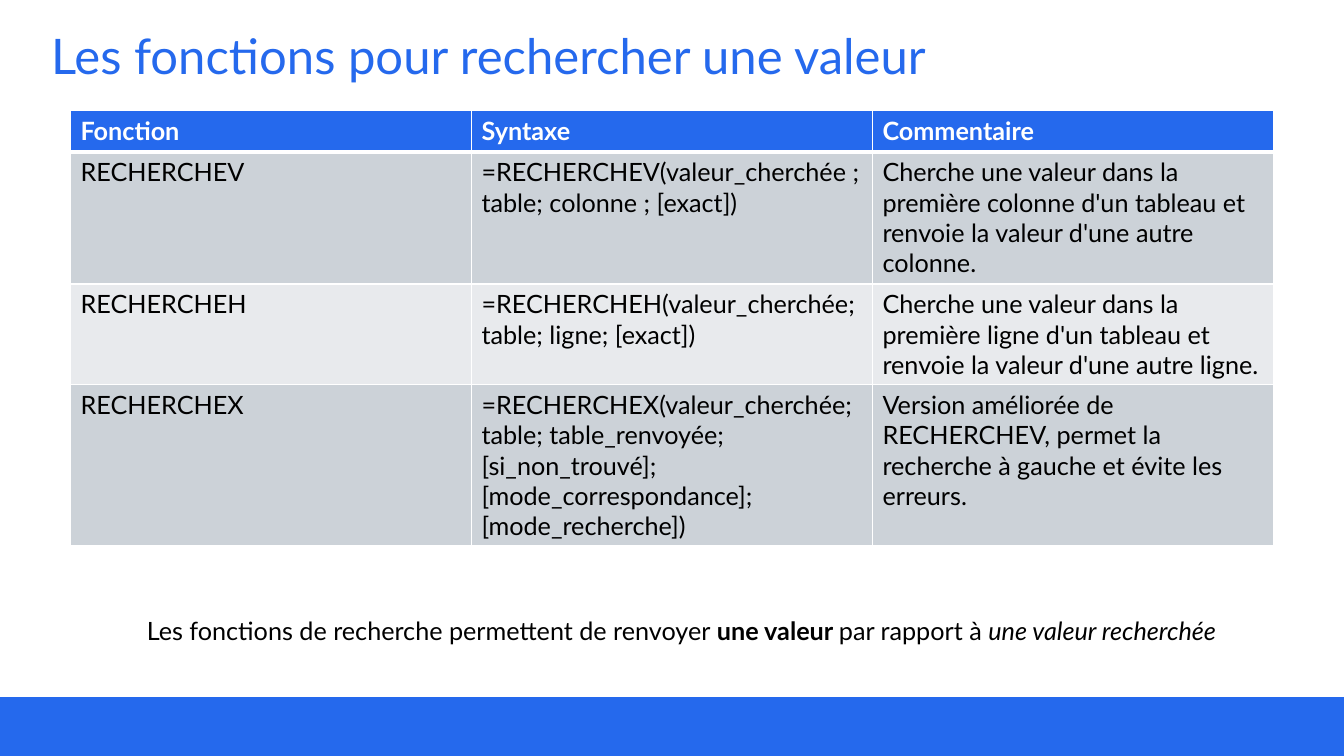
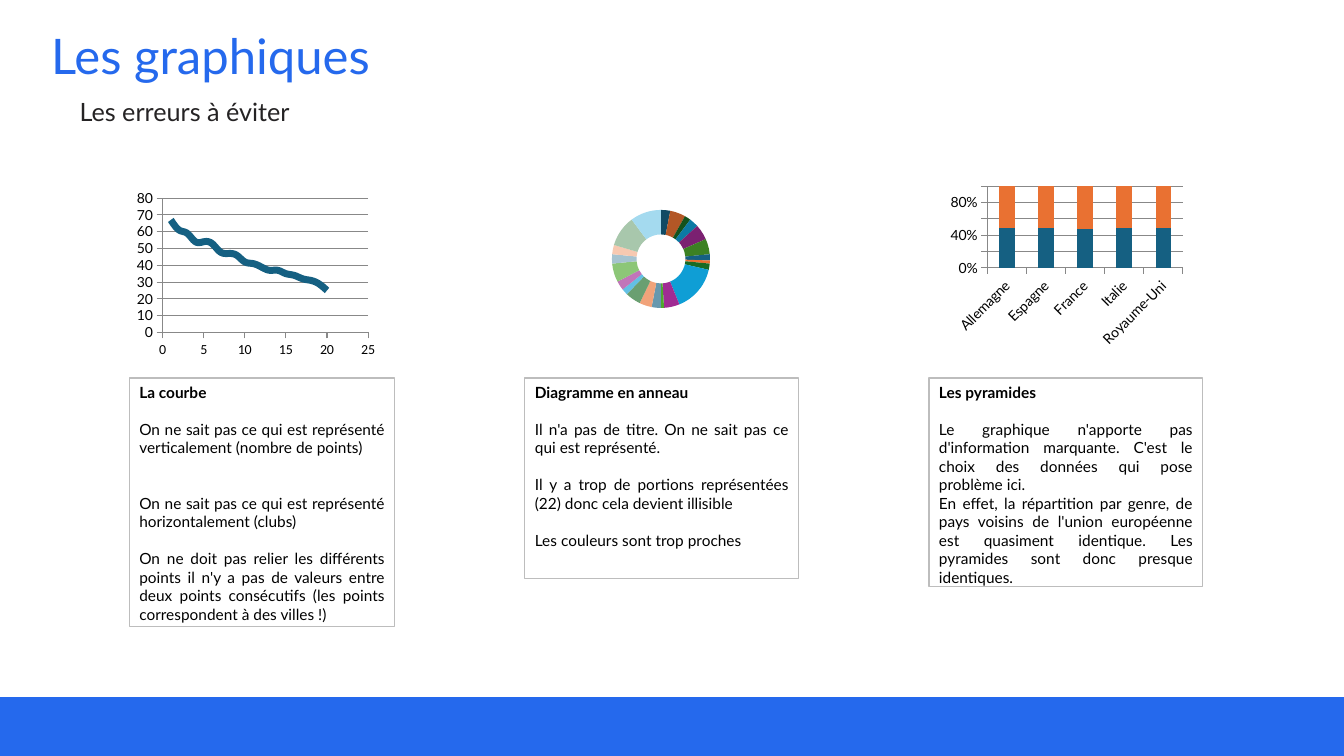
import itertools
from dataclasses import dataclass

import lxml.etree
import pptx
import pptx.chart.data
import pptx.dml.color
import pptx.enum.chart
import pptx.enum.shapes
import pptx.enum.text
import pptx.oxml
import pptx.oxml.ns
import pptx.util

Pt = pptx.util.Pt
qn = pptx.oxml.ns.qn
CHART = pptx.enum.chart.XL_CHART_TYPE
ALIGN = pptx.enum.text.PP_ALIGN
ANCHOR = pptx.enum.text.MSO_ANCHOR
COLS, ROWS = 160, 90


@dataclass(frozen=True)
class Theme:
    font: str = "Lato"
    axis_font: str = "Calibri"
    blue: str = "2569ED"
    white: str = "FFFFFF"
    black: str = "000000"
    subtitle: str = "252324"
    box_line: str = "BDBDBD"
    axis_line: str = "888888"
    stripes: tuple = ("CCD2D8", "E8EAED")
    accents: tuple = ("156082", "E97132", "196B24", "0F9ED5", "A02B93", "4EA72E")
    title_size: int = 35
    body_size: int = 18
    note_size: int = 11
    chart_size: int = 10


def rgb(color):
    return pptx.dml.color.RGBColor.from_string(color)


def apply(obj, **values):
    for name, value in values.items():
        setattr(obj, name, value)


def blend(color, target, share):
    """Move a colour towards another by the given share."""
    pairs = zip(bytes.fromhex(color), bytes.fromhex(target))
    return "".join(f"{round(a + (b - a) * share):02X}" for a, b in pairs)


class Deck:
    def __init__(self, theme):
        self.theme = theme
        self.prs = pptx.Presentation()
        apply(self.prs, slide_width=pptx.util.Inches(13.333),
              slide_height=pptx.util.Inches(7.5))
        self.s = None

    def box(self, x, y, w, h):
        """Turn grid columns and rows into lengths."""
        cw, rh = self.prs.slide_width / COLS, self.prs.slide_height / ROWS
        return [round(v) for v in (x * cw, y * rh, w * cw, h * rh)]

    def slide(self, title):
        self.s = self.prs.slides.add_slide(self.prs.slide_layouts[6])
        self.rect((0, 83, COLS, 7), self.theme.blue)
        p = self.text((4.9, 3.2, 147.7, 7.6), [(title, {})], size=self.theme.title_size,
                      color=self.theme.blue, anchor=ANCHOR.MIDDLE)
        p.line_spacing = 0.9

    def font(self, font, size, color, **extra):
        apply(font, name=self.theme.font, size=Pt(size), **extra)
        font.color.rgb = rgb(color)

    def rect(self, at, fill, line=None):
        sp = self.s.shapes.add_shape(pptx.enum.shapes.MSO_SHAPE.RECTANGLE, *self.box(*at))
        sp.shadow.inherit = False
        sp.fill.solid()
        sp.fill.fore_color.rgb = rgb(fill)
        if line:
            sp.line.color.rgb = rgb(line)
            sp.line.width = Pt(0.75)
        else:
            sp.line.fill.background()
        return sp

    def text(self, at, runs, size=None, color=None, anchor=ANCHOR.TOP):
        tf = self.s.shapes.add_textbox(*self.box(*at)).text_frame
        apply(tf, word_wrap=True, vertical_anchor=anchor)
        p = tf.paragraphs[0]
        for words, extra in runs:
            r = p.add_run()
            r.text = words
            self.font(r.font, size or self.theme.body_size, color or self.theme.black, **extra)
        return p

    def note(self, at, heading, paragraphs):
        """Bordered box; each paragraph comes with the number of lines left above it."""
        t = self.theme
        tf = self.rect(at, t.white, t.box_line).text_frame
        apply(tf, word_wrap=True, vertical_anchor=ANCHOR.TOP)
        for i, (words, gap) in enumerate([(heading, 0)] + paragraphs):
            p = tf.add_paragraph() if i else tf.paragraphs[0]
            apply(p, alignment=ALIGN.JUSTIFY if i else ALIGN.LEFT,
                  space_before=Pt(gap * t.note_size * 1.2))
            r = p.add_run()
            r.text = words
            self.font(r.font, t.note_size, t.black, bold=not i)

    def table(self, at, heights, rows):
        t = self.theme
        frame = self.s.shapes.add_table(len(rows), len(rows[0]), *self.box(*at))
        table = frame.table
        for i, (height, row) in enumerate(zip(heights, rows)):
            table.rows[i].height = self.box(0, 0, 0, height)[3]
            for cell, words in zip(table.rows[i].cells, row):
                self.borders(cell, bottom=1 if i else 3)
                cell.fill.solid()
                cell.fill.fore_color.rgb = rgb(t.stripes[(i - 1) % 2] if i else t.blue)
                r = cell.text_frame.paragraphs[0].add_run()
                r.text = words
                self.font(r.font, t.body_size, t.black if i else t.white, bold=not i)

    def borders(self, cell, bottom):
        pr = cell._tc.get_or_add_tcPr()
        for side, width in (("L", 1), ("R", 1), ("B", bottom)):
            ln = lxml.etree.SubElement(pr, qn(f"a:ln{side}"), w=str(Pt(width)))
            fill = lxml.etree.SubElement(ln, qn("a:solidFill"))
            lxml.etree.SubElement(fill, qn("a:srgbClr"), val=self.theme.white)

    def chart(self, kind, at, data, plot_area=None):
        chart = self.s.shapes.add_chart(kind, *self.box(*at), data).chart
        apply(chart, has_legend=False, has_title=False)
        self.font(chart.font, self.theme.chart_size, self.theme.black)
        chart.plots[0].vary_by_categories = False
        if plot_area:
            self.place_plot(chart, plot_area)
        return chart

    def place_plot(self, chart, shares):
        area = chart._chartSpace.chart.plotArea
        for old in area.findall(qn("c:layout")):
            area.remove(old)
        layout = lxml.etree.Element(qn("c:layout"))
        area.insert(0, layout)
        manual = lxml.etree.SubElement(layout, qn("c:manualLayout"))
        values = dict(layoutTarget="inner", xMode="edge", yMode="edge")
        values.update(zip("xywh", shares))
        for name, value in values.items():
            lxml.etree.SubElement(manual, qn(f"c:{name}"), val=str(value))

    def axis(self, axis, grid=False, number_format="General", **scale):
        apply(axis, has_major_gridlines=grid, has_minor_gridlines=False,
              major_tick_mark=pptx.enum.chart.XL_TICK_MARK.OUTSIDE,
              minor_tick_mark=pptx.enum.chart.XL_TICK_MARK.NONE, **scale)
        apply(axis.tick_labels, number_format=number_format, number_format_is_linked=False)
        self.font(axis.tick_labels.font, self.theme.chart_size, self.theme.black)
        lines = [axis.format.line] + ([axis.major_gridlines.format.line] if grid else [])
        for line in lines:
            line.color.rgb = rgb(self.theme.axis_line)
            line.width = Pt(0.75)

    def curve(self, at, values):
        data = pptx.chart.data.XyChartData()
        series = data.add_series("Series 1")
        for x, y in enumerate(values, 1):
            series.add_data_point(x, y)
        chart = self.chart(CHART.XY_SCATTER_SMOOTH_NO_MARKERS, at, data,
                           (0.1, 0.05, 0.83, 0.81))
        self.axis(chart.category_axis, minimum_scale=0, maximum_scale=25, major_unit=5)
        chart.category_axis.tick_labels.font.name = self.theme.axis_font
        self.axis(chart.value_axis, grid=True, minimum_scale=0, maximum_scale=80, major_unit=10)
        ser = chart.plots[0].series[0]
        ser.format.line.color.rgb = rgb(self.theme.accents[0])
        ser.format.line.width = Pt(5)
        ser._element.find(qn("c:smooth")).set("val", "1")

    def ring(self, at, values):
        t = self.theme
        data = pptx.chart.data.CategoryChartData()
        data.categories = [str(n) for n in range(1, len(values) + 1)]
        data.add_series("Series 1", values)
        chart = self.chart(CHART.DOUGHNUT, at, data, (0.21, 0.31, 0.57, 0.51))
        chart.plots[0].vary_by_categories = True
        tiers = ((t.black, 0.23), (t.black, 0), (t.white, 0.35), (t.white, 0.62))
        shades = itertools.product(tiers, t.accents)
        for i, ((target, share), accent) in zip(range(len(values)), shades):
            fill = chart.plots[0].series[0].points[i].format.fill
            fill.solid()
            fill.fore_color.rgb = rgb(blend(accent, target, share))

    def stacked_columns(self, at, categories, *series):
        data = pptx.chart.data.CategoryChartData()
        data.categories = categories
        for n, values in enumerate(series, 1):
            data.add_series(f"Series {n}", values)
        chart = self.chart(CHART.COLUMN_STACKED_100, at, data)
        apply(chart.plots[0], gap_width=150, overlap=100)
        self.axis(chart.category_axis)
        self.axis(chart.value_axis, grid=True, number_format="0%", major_unit=0.2)
        body = chart.category_axis._element.find(qn("c:txPr")).find(qn("a:bodyPr"))
        body.set("rot", str(-45 * 60000))
        for ser, accent in zip(chart.plots[0].series, self.theme.accents):
            ser.format.fill.solid()
            ser.format.fill.fore_color.rgb = rgb(accent)


def lookup_slide(deck):
    deck.slide("Les fonctions pour rechercher une valeur")
    deck.table((8.4, 13.2, 143.2, 51.8), (4.9, 15.7, 12, 19.2), [
        ("Fonction", "Syntaxe", "Commentaire"),
        ("RECHERCHEV", "=RECHERCHEV(valeur_cherchée ; table; colonne ; [exact])",
         "Cherche une valeur dans la première colonne d'un tableau et renvoie "
         "la valeur d'une autre colonne."),
        ("RECHERCHEH", "=RECHERCHEH(valeur_cherchée; table; ligne; [exact])",
         "Cherche une valeur dans la première ligne d'un tableau et renvoie "
         "la valeur d'une autre ligne."),
        ("RECHERCHEX", "=RECHERCHEX(valeur_cherchée; table; table_renvoyée; "
         "[si_non_trouvé]; [mode_correspondance]; [mode_recherche])",
         "Version améliorée de RECHERCHEV, permet la recherche à gauche et évite les erreurs."),
    ])
    deck.text((16.3, 72.7, 130.2, 4.8), [
        ("Les fonctions de recherche permettent de renvoyer ", {}),
        ("une valeur ", {"bold": True}),
        ("par rapport à ", {}),
        ("une valeur recherchée", {"italic": True}),
    ])


def chart_slide(deck):
    deck.slide("Les graphiques")
    deck.text((8.3, 10.9, 32.4, 4.8), [("Les erreurs à éviter", {})], color=deck.theme.subtitle)
    deck.curve((16.3, 22.6, 29.6, 20), (67, 61, 59, 54, 54, 53, 48, 47, 46, 42,
                                        41, 39, 37, 37, 35, 34, 32, 31, 29, 25))
    deck.ring((68, 17.9, 21.6, 22.9), (3, 5, 2, 3, 5, 5, 2, 1, 2, 15, 5,
                                       1, 3, 4, 5, 2, 3, 6, 3, 3, 10, 10))
    deck.stacked_columns((112.6, 21.8, 28.8, 20),
                         ("Allemagne", "Espagne", "France", "Italie", "Royaume-Uni"),
                         (49, 49, 48, 49, 49), (51, 51, 52, 51, 51))
    deck.note((15.4, 45, 31.6, 29.6), "La courbe", [
        ("On ne sait pas ce qui est représenté verticalement (nombre de points)", 1),
        ("On ne sait pas ce qui est représenté horizontalement (clubs)", 2),
        ("On ne doit pas relier les différents points il n'y a pas de valeurs entre "
         "deux points consécutifs (les points correspondent à des villes !)", 1),
    ])
    deck.note((62.5, 45, 32.6, 23.9), "Diagramme en anneau", [
        ("Il n'a pas de titre. On ne sait pas ce qui est représenté.", 1),
        ("Il y a trop de portions représentées (22) donc cela devient illisible", 1),
        ("Les couleurs sont trop proches", 1),
    ])
    deck.note((110.6, 45, 32.6, 24.8), "Les pyramides", [
        ("Le graphique n'apporte pas d'information marquante. C'est le choix "
         "des données qui pose problème ici.", 1),
        ("En effet, la répartition par genre, de pays voisins de l'union européenne est "
         "quasiment identique. Les pyramides sont donc presque identiques.", 0),
    ])


def main():
    deck = Deck(Theme())
    lookup_slide(deck)
    chart_slide(deck)
    deck.prs.save("out.pptx")


if __name__ == "__main__":
    main()
